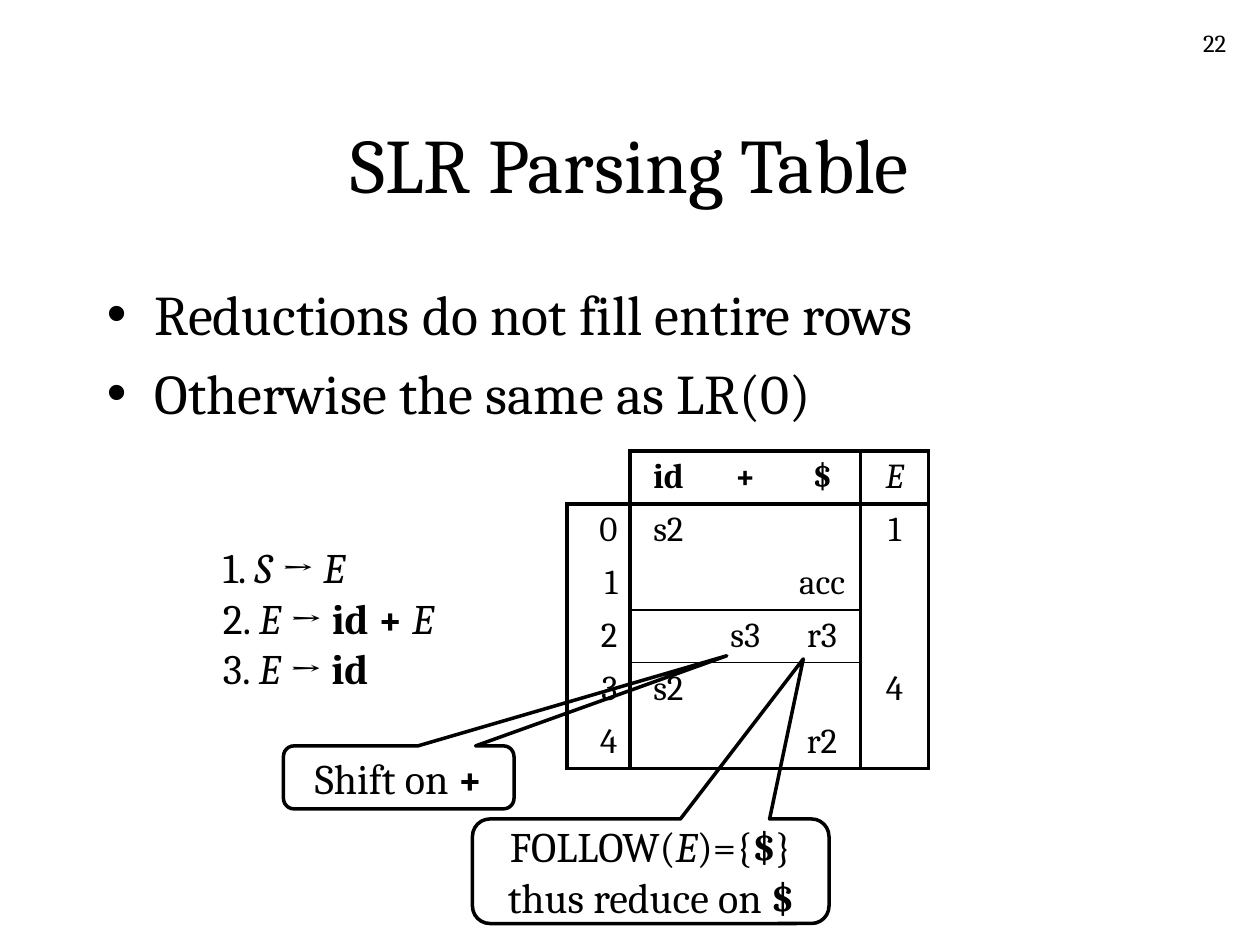
from dataclasses import dataclass
from lxml.etree import SubElement
from pptx import Presentation
from pptx.dml.color import RGBColor
from pptx.enum.shapes import MSO_SHAPE
from pptx.enum.text import MSO_ANCHOR, PP_ALIGN
from pptx.oxml import parse_xml
from pptx.oxml.ns import nsdecls, qn
from pptx.util import Inches, Pt


@dataclass(frozen=True)
class Theme:
    font: str = "Cambria"
    ink: str = "000000"
    number: int = 14
    cell: int = 20
    note: int = 24
    bullet: int = 32
    title: int = 44
    frame: float = 2.25
    rule: float = 1
    outline: float = 2


class Deck:
    def __init__(self, theme):
        self.theme = theme
        self.presentation = Presentation()
        self.presentation.slide_width = Inches(10)
        self.presentation.slide_height = Inches(7.5)
        self.slide = self.presentation.slides.add_slide(self.presentation.slide_layouts[5])

    def add_runs(self, paragraph, runs, size, align=PP_ALIGN.LEFT):
        paragraph.alignment = align
        for text, style in runs:
            for index, line in enumerate(text.split("\n")):
                if index:
                    paragraph.add_line_break()
                if not line:
                    continue
                run = paragraph.add_run()
                run.text = line
                run.font.name = self.theme.font
                run.font.size = Pt(size)
                run.font.bold = style == "b"
                run.font.italic = style == "i"
                run.font.color.rgb = RGBColor.from_string(self.theme.ink)

    def title(self, text, box):
        heading = self.slide.shapes.title
        heading.left, heading.top, heading.width, heading.height = map(Inches, box)
        heading.text_frame.vertical_anchor = MSO_ANCHOR.MIDDLE
        self.add_runs(heading.text_frame.paragraphs[0], [(text, "")], self.theme.title,
                      PP_ALIGN.CENTER)

    def text(self, runs, box, size, align=PP_ALIGN.LEFT, wrap=True):
        frame = self.slide.shapes.add_textbox(*map(Inches, box)).text_frame
        frame.word_wrap = wrap
        self.add_runs(frame.paragraphs[0], runs, size, align)

    def bullets(self, items, box):
        frame = self.slide.shapes.add_textbox(*map(Inches, box)).text_frame
        frame.word_wrap = True
        for index, item in enumerate(items):
            paragraph = frame.add_paragraph() if index else frame.paragraphs[0]
            self.add_runs(paragraph, [(item, "")], self.theme.bullet)
            paragraph.space_before = Pt(self.theme.bullet * 0.2)
            properties = paragraph._p.get_or_add_pPr()
            properties.set("marL", str(Inches(0.38)))
            properties.set("indent", str(-Inches(0.38)))
            SubElement(properties, qn("a:buFont")).set("typeface", "Arial")
            SubElement(properties, qn("a:buChar")).set("char", "•")

    def borders(self, cell, widths):
        cell.fill.background()
        properties = cell._tc.get_or_add_tcPr()
        for index, (side, width) in enumerate(zip("LRTB", widths)):
            paint = (f'<a:solidFill><a:srgbClr val="{self.theme.ink}"/></a:solidFill>'
                     if width else "<a:noFill/>")
            properties.insert(index, parse_xml(
                f'<a:ln{side} {nsdecls("a")} w="{int(Pt(width))}">{paint}</a:ln{side}>'))

    def table(self, rows, left, top, column, height, style="", align=PP_ALIGN.CENTER, ruled=()):
        count, span = len(rows), len(rows[0])
        grid = self.slide.shapes.add_table(
            count, span, Inches(left), Inches(top),
            Inches(column * span), Inches(height * count)).table
        grid.first_row = grid.horz_banding = False
        frame = self.theme.frame

        def edge(row):
            if row in (0, count):
                return frame
            return self.theme.rule if row in ruled else 0

        for r, values in enumerate(rows):
            for c, value in enumerate(values):
                cell = grid.cell(r, c)
                cell.vertical_anchor = MSO_ANCHOR.MIDDLE
                cell.margin_top = cell.margin_bottom = 0
                self.borders(cell, (frame if c == 0 else 0, frame if c == span - 1 else 0,
                                    edge(r), edge(r + 1)))
                self.add_runs(cell.text_frame.paragraphs[0], [(value, style)],
                              self.theme.cell, align)

    def callout(self, runs, box, pointer):
        bubble = self.slide.shapes.add_shape(
            MSO_SHAPE.ROUNDED_RECTANGULAR_CALLOUT, *map(Inches, box))
        bubble.shadow.inherit = False
        bubble.fill.background()
        bubble.line.color.rgb = RGBColor.from_string(self.theme.ink)
        bubble.line.width = Pt(self.theme.outline)
        for index, value in enumerate((*pointer, 0.167)):
            bubble.adjustments[index] = value
        frame = bubble.text_frame
        frame.word_wrap = False
        frame.vertical_anchor = MSO_ANCHOR.MIDDLE
        self.add_runs(frame.paragraphs[0], runs, self.theme.note, PP_ALIGN.CENTER)


theme = Theme()
deck = Deck(theme)
deck.text([("22", "")], (7.75, 0.17, 2.08, 0.5), theme.number, PP_ALIGN.RIGHT)
deck.title("SLR Parsing Table", (0.75, 0.67, 8.5, 1.25))

row_height = 0.42
head_top, body_top = 3.58, 4
state_left, action_left, goto_left = 4.5, 5, 6.83
action_width, goto_width = 0.61, 0.54
actions = [["s2", "", ""], ["", "", "acc"], ["", "s3", "r3"], ["s2", "", ""], ["", "", "r2"]]
gotos = [["1"], [""], [""], ["4"], [""]]
states = [[str(state)] for state in range(len(actions))]

deck.table(actions, action_left, body_top, action_width, row_height, ruled=(2, 3))
deck.table([["id", "+", "$"]], action_left, head_top, action_width, row_height, "b")
deck.table(states, state_left, body_top, action_left - state_left, row_height,
           align=PP_ALIGN.RIGHT)
deck.table([["E"]], goto_left, head_top, goto_width, row_height, "i")
deck.table(gotos, goto_left, body_top, goto_width, row_height)

grammar = [
    ("1. ", ""), ("S", "i"), (" →", ""), (" E\n", "i"),
    ("2. ", ""), ("E", "i"), (" → ", ""), ("id + ", "b"), ("E\n", "i"),
    ("3. ", ""), ("E", "i"), (" → ", ""), ("id", "b"),
]
deck.text(grammar, (1.67, 4.25, 2.07, 1.3), theme.note, wrap=False)

follow = [("FOLLOW(", ""), ("E", "i"), (")={", ""), ("$", "b"),
          ("}\nthus reduce on ", ""), ("$", "b")]
deck.callout(follow, (3.75, 6.5, 2.83, 0.83), (0.428, -2.031))
deck.callout([("Shift on ", ""), ("+", "b")], (2.25, 5.92, 1.83, 0.5), (1.423, -1.931))

deck.bullets(["Reductions do not fill entire rows", "Otherwise the same as LR(0)"],
             (0.75, 2.17, 8.5, 4.5))

deck.presentation.save("out.pptx")
